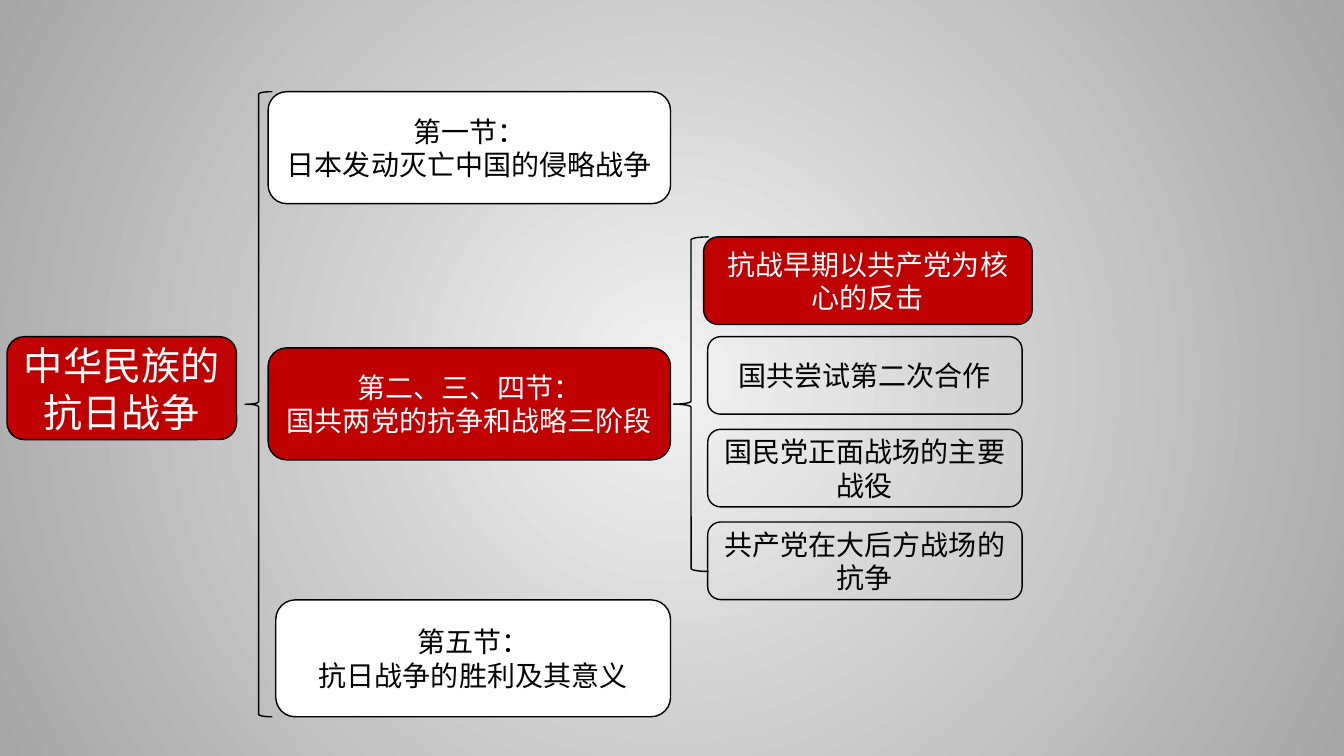
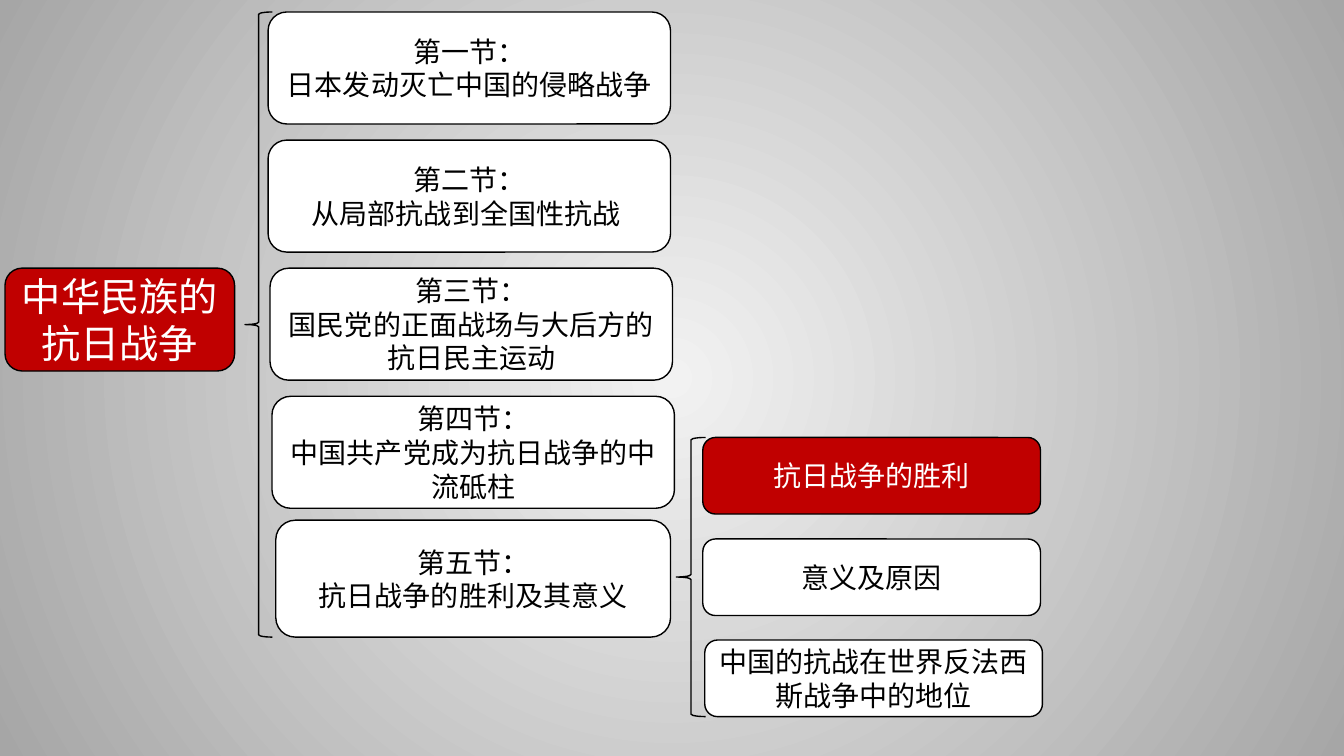
import pptx
import pptx.util
import pptx.dml.color
import pptx.enum.shapes
import pptx.enum.text
import pptx.oxml
import pptx.oxml.ns

Pt = pptx.util.Pt
KIND = pptx.enum.shapes.MSO_SHAPE

THEME = {
    "font": "Noto Sans CJK SC",
    "red": "C00000", "white": "FFFFFF", "black": "000000",
    "glow": "F2F2F2", "edge": "A6A6A6",
    "root": 28, "body": 20, "line": 1,
}

ROOT = "中华民族的抗日战争"
FIRST = ("第一节：\n日本发动灭亡中国的侵略战争", 0)
LAST = "第五节：\n抗日战争的胜利及其意义"

SLIDES = [
    {
        "root": (5, 240.5),
        "top": 65.5,
        "parts": [FIRST, ("第二、三、四节：\n国共两党的抗争和战略三阶段", 0)],
        "active": 1,
        "brace": (481, 169.2, 25.2, 239),
        "lead": ("抗战早期以共产党为核心的反击", (502.6, 169.2, 234.7, 62.6)),
        "leaves": [("国共尝试第二次合作", 0), ("国民党正面战场的主要战役", 0),
                   ("共产党在大后方战场的抗争", 0)],
        "grid": (505.5, 240.5, 224.6, 55.4, 66.2),
        "fill": None,
    },
    {
        "root": (3.6, 191.5),
        "top": 8.6,
        "parts": [FIRST, ("第二节：\n从局部抗战到全国性抗战 ", 0),
                  ("第三节：\n国民党的正面战场与大后方的抗日民主运动", 1.4),
                  ("第四节：\n中国共产党成为抗日战争的中流砥柱", 2.8)],
        "active": None,
        "brace": (483.1, 312.5, 20.9, 199.4),
        "lead": ("抗日战争的胜利", (502, 312.5, 241.2, 54.7)),
        "leaves": [("意义及原因", 0), ("中国的抗战在世界反法西斯战争中的地位", 1.4)],
        "grid": (502, 385, 241.2, 54.7, 72.2),
        "fill": "white",
    },
]

ROOT_SIZE = (164, 73.5)
SPAN = 446.5
PART = (191.5, 287.5, 80)
TAIL = (197, 282, 83.5)
REACH = 366


def tint(name):
    return pptx.dml.color.RGBColor.from_string(THEME[name])


def draw(slide, kind, rect, fill=None):
    shape = slide.shapes.add_shape(kind, *[Pt(n) for n in rect])
    shape.shadow.inherit = False
    if fill:
        shape.fill.solid()
        shape.fill.fore_color.rgb = tint(fill)
    else:
        shape.fill.background()
    shape.line.color.rgb = tint("black")
    shape.line.width = Pt(THEME["line"])
    return shape


def box(slide, text, rect, fill, size="body"):
    frame = draw(slide, KIND.ROUNDED_RECTANGLE, rect, fill).text_frame
    frame.text = text
    frame.word_wrap = True
    frame.vertical_anchor = pptx.enum.text.MSO_ANCHOR.MIDDLE
    for para in frame.paragraphs:
        para.alignment = pptx.enum.text.PP_ALIGN.CENTER
        for run in para.runs:
            font = run.font
            font.size = Pt(THEME[size])
            font.color.rgb = tint("white" if fill == "red" else "black")
            font.name = THEME["font"]
            east = pptx.oxml.parse_xml(
                f'<a:ea {pptx.oxml.ns.nsdecls("a")} typeface="{THEME["font"]}"/>')
            font._element.append(east)


def backdrop(master):
    fill = master.background.fill
    fill.gradient()
    for stop, name, place in zip(fill.gradient_stops, ("glow", "edge"), (0, 1)):
        stop.color.rgb = tint(name)
        stop.position = place
    grad = master.element.xpath("p:cSld/p:bg//a:gradFill")[0]
    for old in grad.xpath("a:lin"):
        grad.remove(old)
    grad.append(pptx.oxml.parse_xml(
        f'<a:path {pptx.oxml.ns.nsdecls("a")} path="circle">'
        '<a:fillToRect l="50000" t="50000" r="50000" b="50000"/></a:path>'))


def build(slide, data):
    box(slide, ROOT, data["root"] + ROOT_SIZE, "red", "root")
    top = data["top"]
    draw(slide, KIND.LEFT_BRACE, (175, top, 19.5, SPAN))
    draw(slide, KIND.LEFT_BRACE, data["brace"])

    left, wide, high = PART
    step = REACH / len(data["parts"])
    for i, (text, nudge) in enumerate(data["parts"]):
        fill = "red" if i == data["active"] else "white"
        box(slide, text, (left + nudge, top + i * step, wide, high), fill)
    left, wide, high = TAIL
    box(slide, LAST, (left, top + SPAN - high, wide, high), "white")

    text, rect = data["lead"]
    box(slide, text, rect, "red")
    left, top, wide, high, step = data["grid"]
    for i, (text, nudge) in enumerate(data["leaves"]):
        box(slide, text, (left + nudge, top + i * step, wide, high), data["fill"])


def main():
    deck = pptx.Presentation()
    deck.slide_width, deck.slide_height = Pt(960), Pt(540)
    backdrop(deck.slide_master)
    for data in SLIDES:
        build(deck.slides.add_slide(deck.slide_layouts[6]), data)
    deck.save("out.pptx")


if __name__ == "__main__":
    main()
